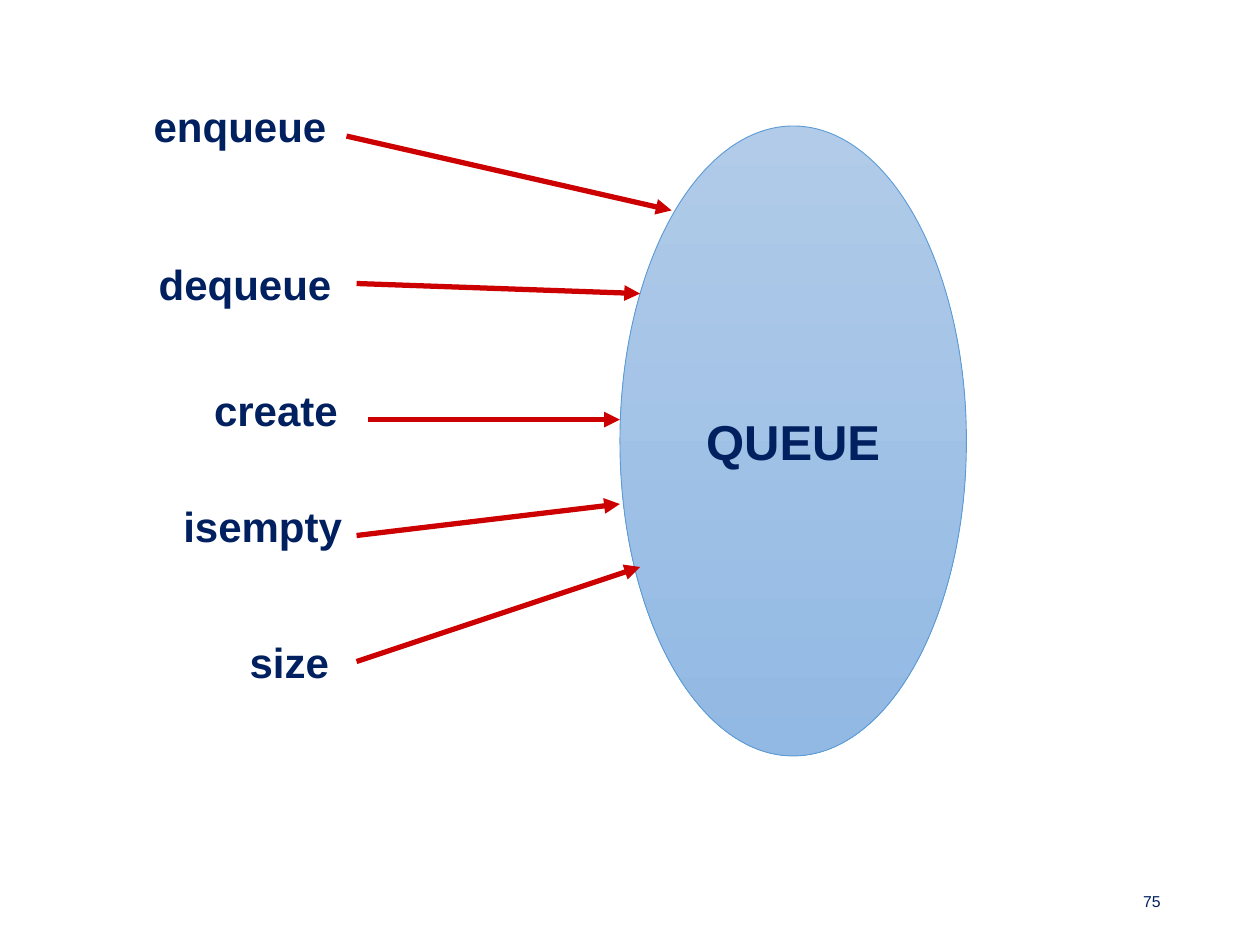
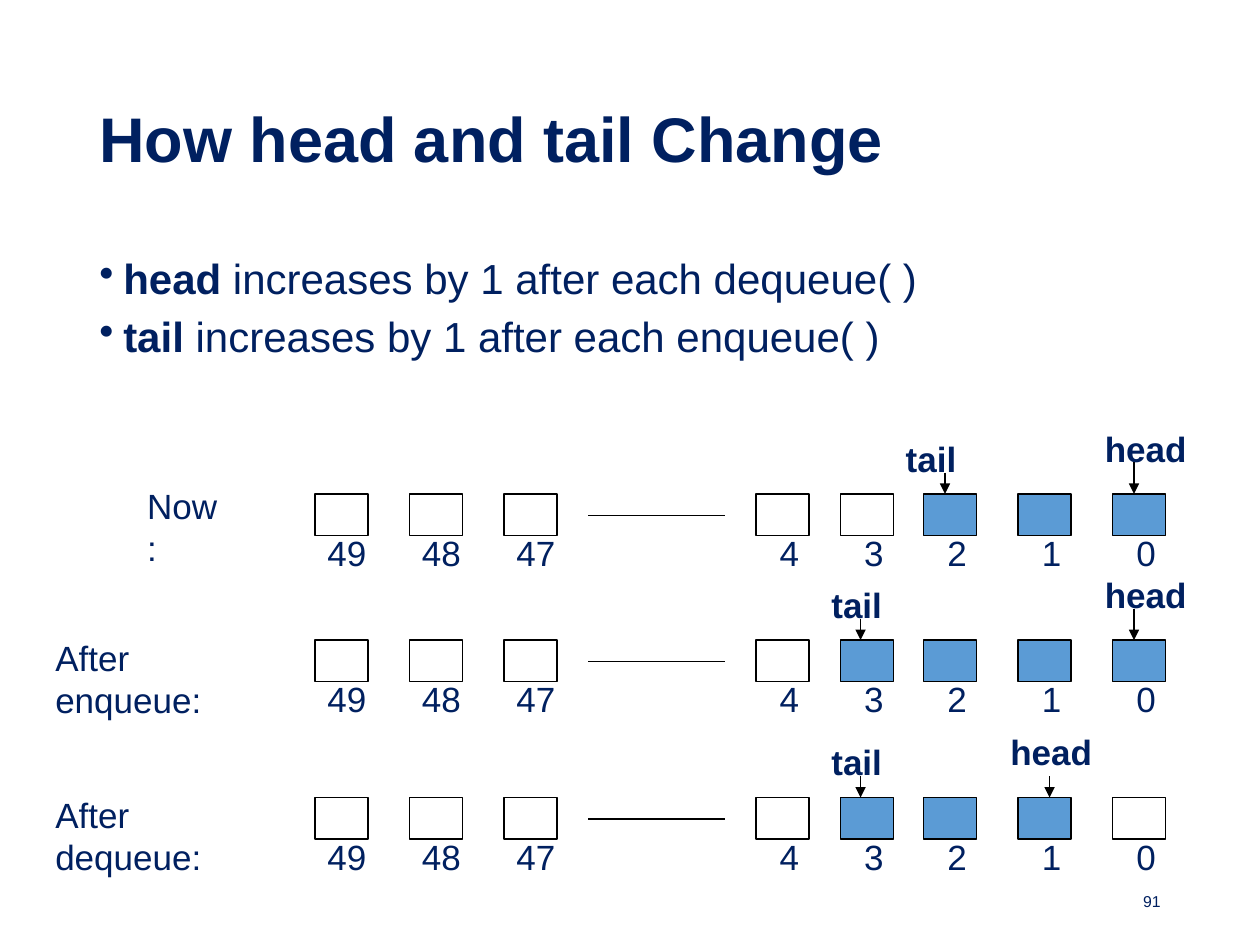
"""Build two slides on the queue type and its head and tail."""
import dataclasses

import lxml.etree
import pptx
import pptx.dml.color
import pptx.enum.shapes
import pptx.enum.text
import pptx.oxml.ns
import pptx.util

Inches = pptx.util.Inches
Pt = pptx.util.Pt
Align = pptx.enum.text.PP_ALIGN
Anchor = pptx.enum.text.MSO_ANCHOR
Shape = pptx.enum.shapes.MSO_SHAPE
qn = pptx.oxml.ns.qn


@dataclasses.dataclass(frozen=True)
class Theme:
    font: str = "Arial"
    ink: str = "002060"
    red: str = "CC0000"
    black: str = "000000"
    blue: str = "5B9BD5"
    light: str = "B1CBE9"
    deep: str = "92B9E4"
    title: int = 36
    hub: int = 28
    body: int = 24
    note: int = 20
    foot: int = 9
    thin: float = 0.75
    thick: float = 3


THEME = Theme()

CALLS = [
    ("enqueue", (1.06, 0.75, 1.69, 0.5), (2.75, 1.08), (5.33, 1.67)),
    ("dequeue", (1.06, 2, 1.77, 0.5), (2.83, 2.25), (5.08, 2.33)),
    ("create", (1.46, 3, 1.46, 0.5), (2.92, 3.33), (4.92, 3.33)),
    ("isempty", (1.25, 3.92, 1.67, 0.5), (2.83, 4.25), (4.92, 4)),
    ("size", (1.67, 5, 1.25, 0.5), (2.83, 5.25), (5.08, 4.5)),
]

CELLS = {49: 2.5, 48: 3.25, 47: 4, 4: 6, 3: 6.67, 2: 7.33, 1: 8.08, 0: 8.83}

ROWS = [
    dict(name="Now:", spot=(1.07, 3.8, 0.83, 0.44), top=3.92, used=(0, 1, 2),
         tail=(7.09, 7.5), head=(8.67, 9, 0.25)),
    dict(name="After enqueue:", spot=(0.34, 5, 2.02, 0.44), top=5.08, used=(0, 1, 2, 3),
         tail=(6.5, 6.83), head=(8.67, 9, 0.25)),
    dict(name="After dequeue:", spot=(0.34, 6.25, 2.02, 0.44), top=6.33, used=(1, 2, 3),
         tail=(6.5, 6.83), head=(7.92, 8.33, 0.17)),
]


def tint(code):
    return pptx.dml.color.RGBColor.from_string(code)


def bullet(para):
    props = para._p.get_or_add_pPr()
    props.set("marL", str(Inches(0.19)))
    props.set("indent", str(-Inches(0.19)))
    shade = lxml.etree.SubElement(props, qn("a:buClr"))
    lxml.etree.SubElement(shade, qn("a:srgbClr"), val=THEME.ink)
    lxml.etree.SubElement(props, qn("a:buChar"), char="•")


def write(frame, lines, size=THEME.note, bold=False, align=Align.LEFT,
          anchor=Anchor.TOP, wrap=True, space=None, gap=0, dots=False):
    """Fill a text frame; each line is a string or a list of (words, bold) runs."""
    frame.word_wrap = wrap
    frame.vertical_anchor = anchor
    for place, line in enumerate(lines):
        para = frame.add_paragraph() if place else frame.paragraphs[0]
        if dots:
            bullet(para)
        para.alignment = align
        para.line_spacing = space
        if place:
            para.space_before = Pt(gap)
        for words, heavy in [(line, bold)] if isinstance(line, str) else line:
            run = para.add_run()
            run.text = words
            run.font.name = THEME.font
            run.font.size = Pt(size)
            run.font.bold = heavy
            run.font.color.rgb = tint(THEME.ink)


def text(shapes, box, *lines, **form):
    write(shapes.add_textbox(*map(Inches, box)).text_frame, lines, **form)


def stroke(shapes, start, end, color=THEME.black, width=THEME.thin, arrow=True):
    line = shapes.add_connector(pptx.enum.shapes.MSO_CONNECTOR.STRAIGHT,
                                *map(Inches, (*start, *end)))
    line.line.color.rgb = tint(color)
    line.line.width = Pt(width)
    if arrow:
        lxml.etree.SubElement(line.line._get_or_add_ln(), qn("a:tailEnd"), type="triangle")
    lxml.etree.SubElement(line._element.spPr, qn("a:effectLst"))


def solid(shapes, kind, box, edge, width):
    shape = shapes.add_shape(kind, *map(Inches, box))
    shape.shadow.inherit = False
    shape.line.color.rgb = tint(edge)
    shape.line.width = Pt(width)
    return shape


def cell(shapes, left, top, index, used):
    box = solid(shapes, Shape.RECTANGLE, (left, top, 0.42, 0.33), THEME.black, THEME.thin)
    if used:
        box.fill.solid()
        box.fill.fore_color.rgb = tint(THEME.blue)
    else:
        box.fill.background()
    shift, width = (0, 0.58) if index > 9 else (0.09, 0.37)
    text(shapes, (left + shift, top + 0.25, width, 0.44), str(index))


def row(slide, name, spot, top, used, tail, head):
    group = slide.shapes.add_group_shape().shapes
    for index, left in CELLS.items():
        cell(group, left, top, index, index in used)
    stroke(group, (4.67, top + 0.17), (5.75, top + 0.17), arrow=False)
    text(slide.shapes, spot, name, wrap=False)
    marks = [("tail", *tail, 0.17, 0.5, 0.6), ("head", *head, 0.58, 0.85)]
    for word, left, tip, reach, rise, width in marks:
        text(slide.shapes, (left, top - rise, width, 0.44), word, bold=True, wrap=False)
        stroke(slide.shapes, (tip, top - reach), (tip, top))


def page(deck, number):
    slide = deck.slides.add_slide(deck.slide_layouts[6])
    text(slide.shapes, (7.06, 6.95, 2.25, 0.4), number, size=THEME.foot,
         align=Align.RIGHT, anchor=Anchor.MIDDLE)
    return slide


def queue(deck):
    shapes = page(deck, "75").shapes
    hub = solid(shapes, Shape.OVAL, (4.92, 1, 2.75, 5), THEME.blue, 0.5)
    hub.fill.gradient()
    hub.fill.gradient_angle = 270
    for stop, color in zip(hub.fill.gradient_stops, (THEME.light, THEME.deep)):
        stop.color.rgb = tint(color)
    write(hub.text_frame, ["QUEUE"], size=THEME.hub, bold=True, align=Align.CENTER,
          anchor=Anchor.MIDDLE, wrap=False)
    for name, box, start, end in CALLS:
        stroke(shapes, start, end, THEME.red, THEME.thick)
        text(shapes, box, name, size=THEME.body, bold=True, align=Align.CENTER)


def change(deck):
    slide = page(deck, "91")
    text(slide.shapes, (0.69, 0.4, 8.63, 1.45), "How head and tail Change",
         size=THEME.title, bold=True, anchor=Anchor.MIDDLE, space=0.9)
    text(slide.shapes, (0.69, 2, 8.63, 1.2),
         [("head ", True), ("increases by 1 after each dequeue( )", False)],
         [("tail ", True), ("increases by 1 after each enqueue( )", False)],
         size=THEME.body, space=0.9, gap=7.5, dots=True)
    for data in ROWS:
        row(slide, **data)


def main():
    deck = pptx.Presentation()
    deck.slide_width, deck.slide_height = Inches(10), Inches(7.5)
    queue(deck)
    change(deck)
    deck.save("out.pptx")


if __name__ == "__main__":
    main()
